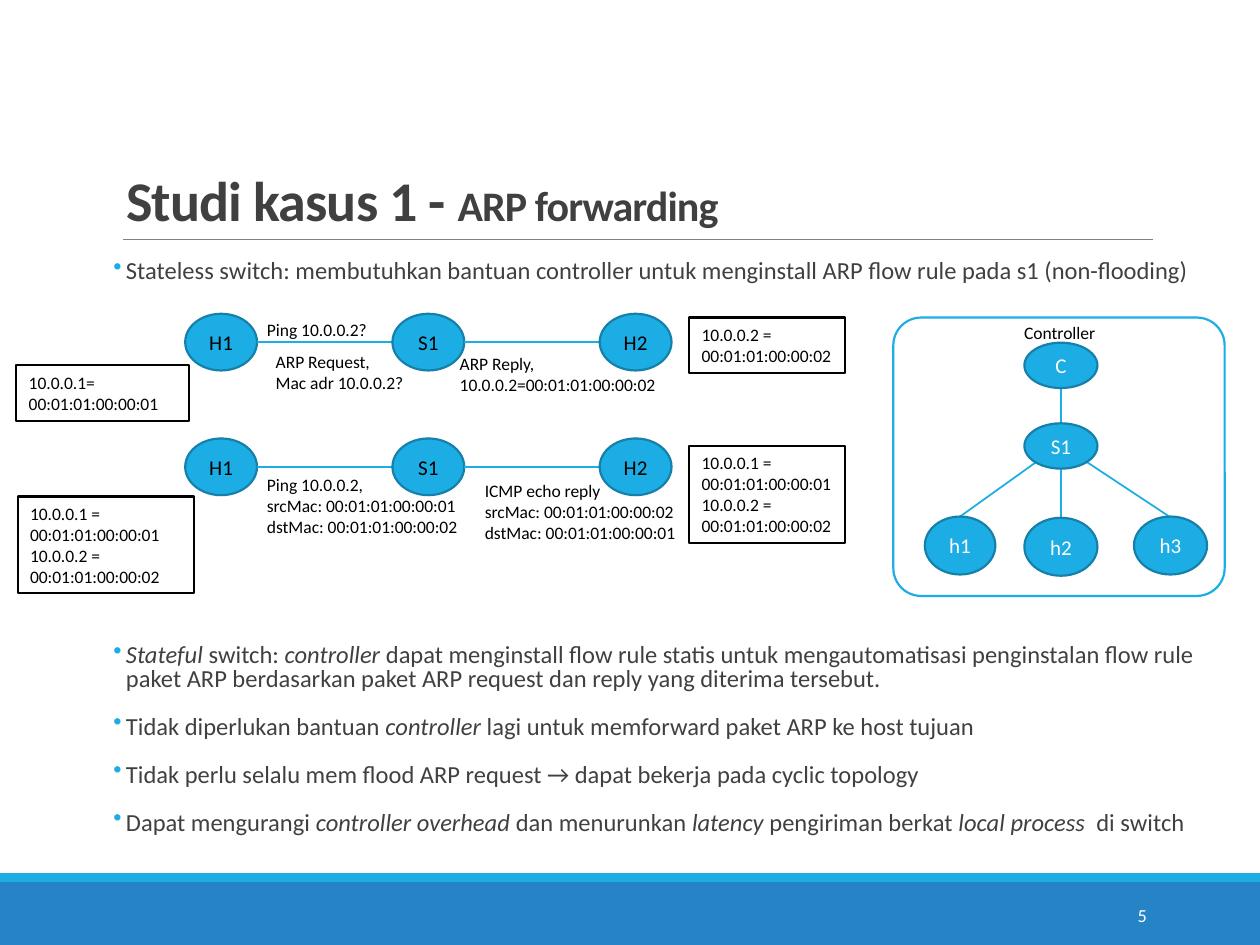
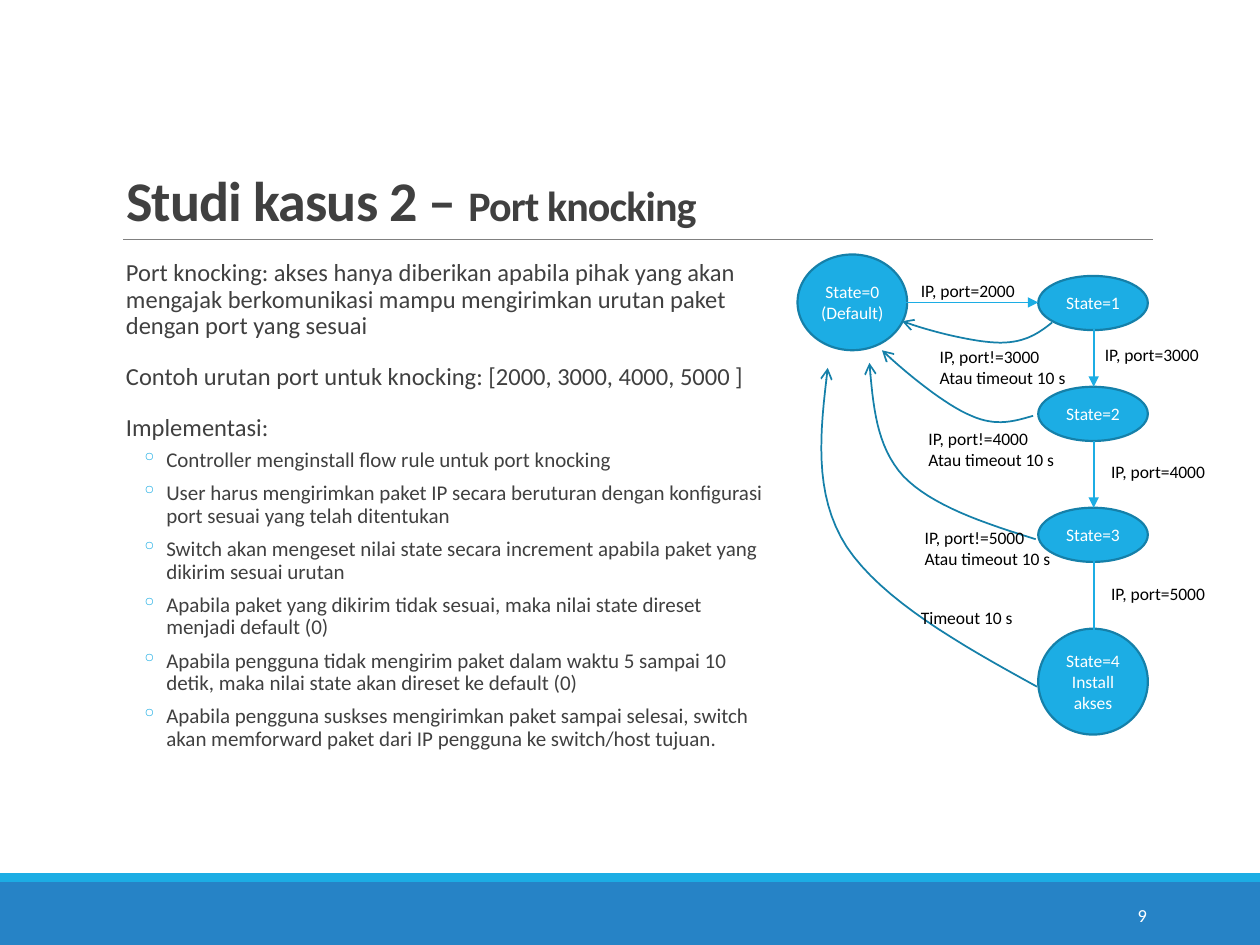
from typing import NamedTuple

from lxml.etree import SubElement
from pptx import Presentation
from pptx.dml.color import RGBColor
from pptx.enum.shapes import MSO_CONNECTOR, MSO_SHAPE
from pptx.enum.text import MSO_ANCHOR, MSO_AUTO_SIZE, PP_ALIGN
from pptx.oxml.ns import qn
from pptx.util import Inches, Pt

FONT = "Calibri"
BLUE = RGBColor(0x26, 0x83, 0xC6)
CYAN = RGBColor(0x1C, 0xAD, 0xE4)
TEAL = RGBColor(0x15, 0x80, 0xA9)
INK = RGBColor(0x40, 0x40, 0x40)
GRAY = RGBColor(0x80, 0x80, 0x80)
BLACK = RGBColor(0, 0, 0)
WHITE = RGBColor(0xFF, 0xFF, 0xFF)
TITLE_ONLY = 5
CURVE_STEPS = 16


class Area(NamedTuple):
    left: float
    top: float
    width: float
    height: float

    def lengths(self) -> list:
        return [Inches(value) for value in self]


class Node(NamedTuple):
    text: str
    area: Area


class Link(NamedTuple):
    start: tuple
    end: tuple


class Item(NamedTuple):
    """A body paragraph; asterisks enclose its italic parts."""
    text: str
    bullet: str = ""
    level: int = 0
    before: float = 12


# Formatting helpers
def style_span(span, size: float, color: RGBColor, bold=None, italic=None) -> None:
    span.font.name, span.font.size = FONT, Pt(size)
    span.font.color.rgb = color
    span.font.bold, span.font.italic = bold, italic


def write(shape, text: str, size: float, color: RGBColor, align=PP_ALIGN.LEFT,
          anchor=MSO_ANCHOR.TOP) -> None:
    frame = shape.text_frame
    frame.text = text
    frame.vertical_anchor = anchor
    for para in frame.paragraphs:
        para.alignment = align
        for span in para.runs:
            style_span(span, size, color)


def add_arrowhead(shape, kind: str) -> None:
    outline = shape.element.spPr.find(qn("a:ln"))
    SubElement(outline, qn("a:tailEnd"), type=kind)


def add_filled(page, preset, area: Area, fill: RGBColor, line=None):
    shape = page.shapes.add_shape(preset, *area.lengths())
    shape.shadow.inherit = False
    shape.fill.solid()
    shape.fill.fore_color.rgb = fill
    if line is None:
        shape.line.fill.background()
    else:
        shape.line.color.rgb = line
        shape.line.width = Pt(1.25)
    return shape


def add_line(page, link: Link, color=CYAN, width=1.0, head="") -> None:
    ends = [Inches(value) for value in (*link.start, *link.end)]
    line = page.shapes.add_connector(MSO_CONNECTOR.STRAIGHT, *ends)
    line.line.color.rgb = color
    line.line.width = Pt(width)
    if head:
        add_arrowhead(line, head)
    SubElement(line.element.spPr, qn("a:effectLst"))


def add_node(page, node: Node, size: float, color: RGBColor) -> None:
    shape = add_filled(page, MSO_SHAPE.OVAL, node.area, CYAN, TEAL)
    frame = shape.text_frame
    frame.margin_left = frame.margin_right = frame.margin_top = frame.margin_bottom = 0
    write(shape, node.text, size, color, PP_ALIGN.CENTER, MSO_ANCHOR.MIDDLE)


def add_label(page, node: Node) -> None:
    box = page.shapes.add_textbox(*node.area.lengths())
    box.text_frame.word_wrap = False
    box.text_frame.auto_size = MSO_AUTO_SIZE.SHAPE_TO_FIT_TEXT
    write(box, node.text, 10, BLACK)


def add_address_box(page, node: Node) -> None:
    shape = add_filled(page, MSO_SHAPE.RECTANGLE, node.area, WHITE, BLACK)
    shape.text_frame.word_wrap = True
    write(shape, node.text, 10, BLACK)


def bezier(points: list, t: float) -> float:
    a, b, c, d = points
    return (1 - t) ** 3 * a + 3 * (1 - t) ** 2 * t * b + 3 * (1 - t) * t ** 2 * c + t ** 3 * d


def add_curve(page, points: list) -> None:
    """Draw joined cubic curves: a start, then three points per curve."""
    vertices = []
    for first in range(0, len(points) - 1, 3):
        xs, ys = zip(*points[first:first + 4])
        for step in range(1, CURVE_STEPS + 1):
            t = step / CURVE_STEPS
            vertices.append((Inches(bezier(xs, t)), Inches(bezier(ys, t))))
    start_x, start_y = points[0]
    builder = page.shapes.build_freeform(Inches(start_x), Inches(start_y))
    builder.add_line_segments(vertices, close=False)
    curve = builder.convert_to_shape()
    curve.shadow.inherit = False
    curve.fill.background()
    curve.line.color.rgb = TEAL
    curve.line.width = Pt(1)
    add_arrowhead(curve, "arrow")


# Shared page parts
def add_page(deck, heading: str, topic: str, number: int):
    page = deck.slides.add_slide(deck.slide_layouts[TITLE_ONLY])
    add_filled(page, MSO_SHAPE.RECTANGLE, Area(0, 7, 10, 0.5), BLUE)
    add_filled(page, MSO_SHAPE.RECTANGLE, Area(0, 6.93, 10, 0.07), CYAN)
    add_line(page, Link((0.98, 1.9), (9.15, 1.9)), GRAY, 0.5)

    title = page.shapes.title
    title.left, title.top, title.width, title.height = Area(0.9, 0.31, 8.25, 1.59).lengths()
    frame = title.text_frame
    frame.vertical_anchor = MSO_ANCHOR.BOTTOM
    frame.auto_size = MSO_AUTO_SIZE.NONE
    para = frame.paragraphs[0]
    para.alignment = PP_ALIGN.LEFT
    para.line_spacing = 0.85
    for text, size in ((heading, 32), (topic, 24)):
        span = para.add_run()
        span.text = text
        style_span(span, size, INK, bold=True)
        span.font._element.set("spc", "-50")

    box = page.shapes.add_textbox(*Area(8.12, 7.06, 1.08, 0.4).lengths())
    box.text_frame.word_wrap = True
    write(box, str(number), 10.5, WHITE, PP_ALIGN.RIGHT, MSO_ANCHOR.MIDDLE)
    return page


def add_body(page, area: Area, items: list, spacing: float) -> None:
    frame = page.shapes.add_textbox(*area.lengths()).text_frame
    frame.word_wrap = True
    frame.margin_left = frame.margin_right = 0
    for index, item in enumerate(items):
        para = frame.add_paragraph() if index else frame.paragraphs[0]
        para.level = item.level
        para.line_spacing = spacing
        para.space_before = Pt(item.before)
        para.space_after = Pt(4 if item.level else 2)
        for part, text in enumerate(item.text.split("*")):
            if text:
                span = para.add_run()
                span.text = text
                style_span(span, 12 if item.level else 14, INK, italic=part % 2 == 1)
        margin, hanging = (0.42, -0.2) if item.level else (0.1, -0.1)
        properties = para._p.get_or_add_pPr()
        properties.set("marL", str(Inches(margin)))
        properties.set("indent", str(Inches(hanging if item.bullet else 0)))
        if item.bullet:
            color = SubElement(properties, qn("a:buClr"))
            SubElement(color, qn("a:srgbClr"), val=str(CYAN))
            SubElement(properties, qn("a:buChar"), char=item.bullet)


def add_arp_page(deck) -> None:
    page = add_page(deck, "Studi kasus 1 - ", "ARP forwarding", 5)
    add_body(page, Area(0.9, 2.02, 8.66, 4.76), [
        Item("Stateless switch: membutuhkan bantuan controller untuk menginstall ARP flow rule "
             "pada s1 (non-flooding)", "•"),
        # The wide gap leaves room for the diagrams
        Item("*Stateful* switch: *controller *dapat menginstall flow rule statis untuk "
             "mengautomatisasi penginstalan flow rule paket ARP berdasarkan paket ARP request "
             "dan reply yang diterima tersebut.", "•", before=204),
        Item("Tidak diperlukan bantuan *controller *lagi untuk memforward paket ARP ke host tujuan",
             "•"),
        Item("Tidak perlu selalu mem flood ARP request → dapat bekerja pada cyclic topology", "•"),
        Item("Dapat mengurangi *controller overhead* dan menurunkan *latency *pengiriman berkat "
             "*local process * di switch", "•"),
    ], 0.8)

    # Two message exchanges
    width, height, pitch = 0.57, 0.45, 1.645
    for top in (2.49, 3.48):
        for column, name in enumerate(("H1", "S1", "H2")):
            left = 1.47 + column * pitch
            if column:
                middle = top + height / 2
                add_line(page, Link((left - pitch + width, middle), (left, middle)))
            add_node(page, Node(name, Area(left, top, width, height)), 12, BLACK)

    first, second = "00:01:01:00:00:01", "00:01:01:00:00:02"
    both = f"10.0.0.1 = {first}\n10.0.0.2 = {second}"
    for node in (
        Node(f"10.0.0.1= {first}", Area(0.13, 2.9, 1.37, 0.44)),
        Node(f"10.0.0.2 = {second}", Area(5.47, 2.52, 1.24, 0.44)),
        Node(both, Area(0.14, 3.94, 1.4, 0.77)),
        Node(both, Area(5.47, 3.54, 1.24, 0.77)),
    ):
        add_address_box(page, node)

    # Controller topology
    panel = add_filled(page, MSO_SHAPE.ROUNDED_RECTANGLE, Area(7.09, 2.52, 2.63, 2.21), WHITE, CYAN)
    panel.adjustments[0] = 0.1
    for link in (
        Link((8.42, 3.08), (8.42, 3.36)),
        Link((8.22, 3.67), (7.62, 4.1)),
        Link((8.42, 3.72), (8.42, 4.11)),
        Link((8.63, 3.67), (9.28, 4.1)),
    ):
        add_line(page, link)
    for node in (
        Node("C", Area(8.13, 2.72, 0.58, 0.36)),
        Node("S1", Area(8.13, 3.36, 0.58, 0.36)),
        Node("h1", Area(7.34, 4.1, 0.56, 0.46)),
        Node("h2", Area(8.13, 4.11, 0.58, 0.46)),
        Node("h3", Area(9, 4.1, 0.58, 0.46)),
    ):
        add_node(page, node, 12, WHITE)

    for label in (
        Node("Ping 10.0.0.2?", Area(2.02, 2.48, 1.01, 0.27)),
        Node("ARP Request,\nMac adr 10.0.0.2?", Area(2.09, 2.74, 1.23, 0.44)),
        Node(f"ARP Reply,\n10.0.0.2={second}", Area(3.55, 2.75, 1.78, 0.44)),
        Node(f"Ping 10.0.0.2,\nsrcMac: {first}\ndstMac: {second}", Area(2.02, 3.71, 1.74, 0.61)),
        Node(f"ICMP echo reply\nsrcMac: {second}\ndstMac: {first}", Area(3.75, 3.76, 1.74, 0.61)),
        Node("Controller", Area(8.03, 2.51, 0.78, 0.27)),
    ):
        add_label(page, label)


def add_knocking_page(deck) -> None:
    page = add_page(deck, "Studi kasus 2 – ", "Port knocking", 9)
    steps = (
        "Controller menginstall flow rule untuk port knocking",
        "User harus mengirimkan paket IP secara beruturan dengan konfigurasi port sesuai yang "
        "telah ditentukan",
        "Switch akan mengeset nilai state secara increment apabila paket yang dikirim sesuai urutan",
        "Apabila paket yang dikirim tidak sesuai, maka nilai state direset menjadi default (0)",
        "Apabila pengguna tidak mengirim paket dalam waktu 5 sampai 10 detik, maka nilai state "
        "akan direset ke default (0)",
        "Apabila pengguna suskses mengirimkan paket sampai selesai, switch akan memforward paket "
        "dari IP pengguna ke switch/host tujuan.",
    )
    add_body(page, Area(0.9, 2.02, 5.23, 4.4), [
        Item("Port knocking: akses hanya diberikan apabila pihak yang akan mengajak berkomunikasi "
             "mampu mengirimkan urutan paket dengan port yang sesuai"),
        Item("Contoh urutan port untuk knocking: [2000, 3000, 4000, 5000 ]"),
        Item("Implementasi:"),
        *(Item(step, "◦", 1, 2) for step in steps),
    ], 0.9)

    # States and forward transitions
    for state in (
        Node("State=0\n(Default)", Area(6.33, 2.02, 0.87, 0.76)),
        Node("State=1", Area(8.24, 2.19, 0.87, 0.43)),
        Node("State=2", Area(8.24, 3.07, 0.87, 0.43)),
        Node("State=3", Area(8.24, 4.03, 0.87, 0.43)),
        Node("State=4\nInstall akses", Area(8.24, 4.99, 0.87, 0.84)),
    ):
        add_node(page, state, 10, WHITE)
    add_line(page, Link((7.19, 2.4), (8.24, 2.4)), head="triangle")
    for top, bottom in ((2.61, 3.07), (3.5, 4.03), (4.45, 5.13)):
        add_line(page, Link((8.68, top), (8.68, bottom)), head="triangle")

    # Resets to the default state
    for points in (
        [(8.35, 2.56), (8.25, 2.64), (8.14, 2.72), (7.94, 2.72), (7.74, 2.72), (7.38, 2.63), (7.16, 2.55)],
        [(8.2, 3.3), (8.06, 3.34), (7.91, 3.39), (7.71, 3.3), (7.51, 3.22), (7.19, 2.96), (7, 2.78)],
        [(8.22, 4.28), (7.8, 4.15), (7.39, 4.01), (7.17, 3.78), (6.95, 3.54), (6.93, 3.21), (6.9, 2.88)],
        [(8.23, 5.45), (7.61, 5.11), (7, 4.76), (6.72, 4.34), (6.45, 3.92), (6.51, 3.42), (6.57, 2.92)],
    ):
        add_curve(page, points)

    # Transition labels
    for port, left, top in ((2000, 7.21, 2.17), (3000, 8.67, 2.68), (4000, 8.72, 3.61), (5000, 8.72, 4.58)):
        add_label(page, Node(f"IP, port={port}", Area(left, top, 0.98, 0.27)))
    for port, left, top in ((3000, 7.36, 2.7), (4000, 7.27, 3.35), (5000, 7.24, 4.13)):
        add_label(page, Node(f"IP, port!={port}\nAtau timeout 10 s", Area(left, top, 1.22, 0.44)))
    add_label(page, Node("Timeout 10 s", Area(7.21, 4.77, 0.94, 0.27)))


def main() -> None:
    deck = Presentation()
    deck.slide_width, deck.slide_height = Inches(10), Inches(7.5)
    add_arp_page(deck)
    add_knocking_page(deck)
    deck.save("out.pptx")


if __name__ == "__main__":
    main()
